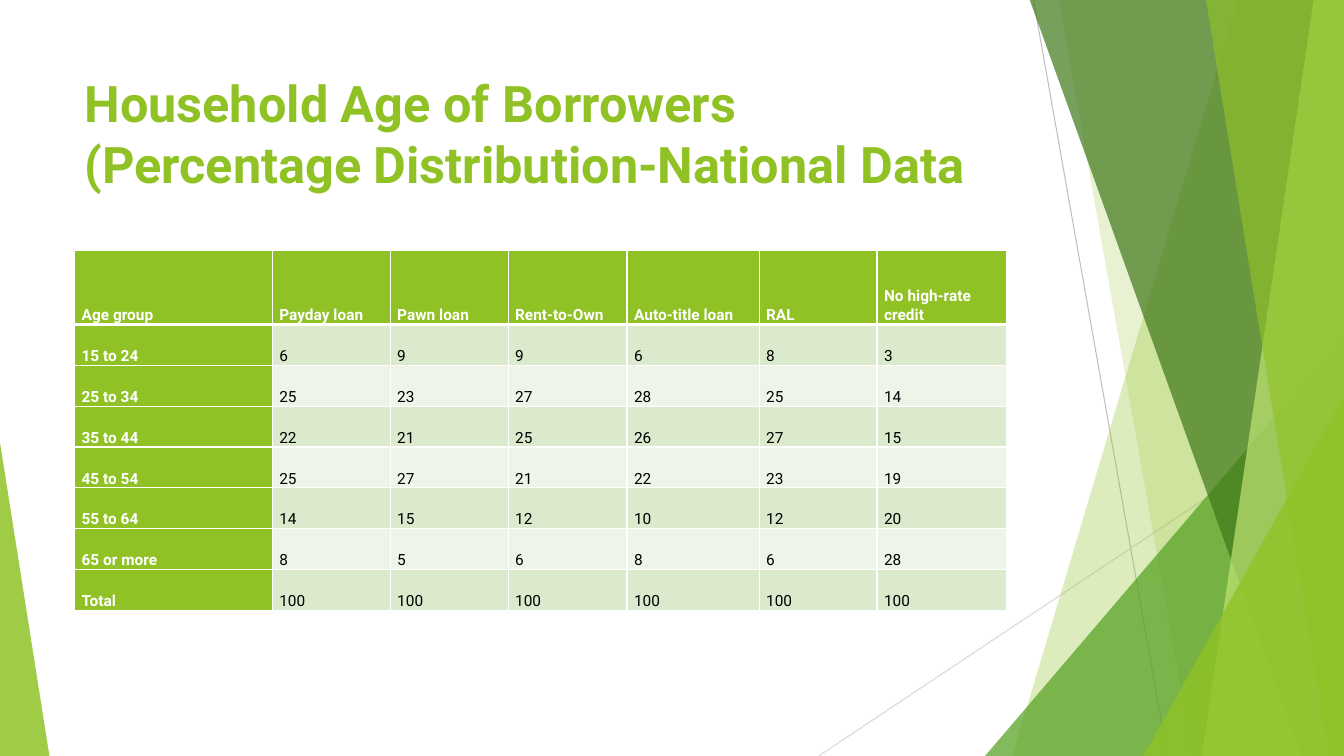
from lxml import etree
from pptx import Presentation, util as u
from pptx.dml.color import RGBColor
from pptx.enum import shapes, text
from pptx.oxml import ns

GREEN, WHITE, BLACK = "90C226", "FFFFFF", "000000"
BANDS = ["DBE9CD", "EEF4E8"]
FONT = "Roboto"

COLUMN_WIDTHS = [1.96, 1.17, 1.17, 1.18, 1.31, 1.17, 1.28]
HEADER_HEIGHT, ROW_HEIGHT = 0.74, 0.405
LOANS_BY_AGE = [
    ["Age group", "Payday loan", "Pawn loan", "Rent-to-Own", "Auto-title loan",
     "RAL", "No high-rate credit"],
    ["15 to 24", 6, 9, 9, 6, 8, 3],
    ["25 to 34", 25, 23, 27, 28, 25, 14],
    ["35 to 44", 22, 21, 25, 26, 27, 15],
    ["45 to 54", 25, 27, 21, 22, 23, 19],
    ["55 to 64", 14, 15, 12, 10, 12, 20],
    ["65 or more", 8, 5, 6, 8, 6, 28],
    ["Total", 100, 100, 100, 100, 100, 100],
]


def rgb(color):
    return RGBColor.from_string(color)


def paint(sp, color, opacity):
    """Fill a shape with a see-through colour and no outline."""
    sp.shadow.inherit = False
    sp.line.fill.background()
    sp.fill.solid()
    sp.fill.fore_color.rgb = rgb(color)
    clr = sp.fill._xPr.find(".//" + ns.qn("a:srgbClr"))
    etree.SubElement(clr, ns.qn("a:alpha"), val=str(opacity * 1000))


def add_line(s, x1, y1, x2, y2, color):
    line = s.shapes.add_connector(
        shapes.MSO_CONNECTOR.STRAIGHT, *map(u.Inches, (x1, y1, x2, y2)))
    line.line.color.rgb = rgb(color)
    line.line.width = u.Pt(0.75)
    etree.SubElement(line._element.spPr, ns.qn("a:effectLst"))


def add_shard(s, top_left, top_right, bottom_right, bottom_left, color, opacity):
    """Four-sided panel over the full slide height."""
    top, bottom = u.Inches(-0.01), u.Inches(7.5)
    builder = s.shapes.build_freeform(u.Inches(top_left), top)
    builder.add_line_segments([
        (u.Inches(top_right), top),
        (u.Inches(bottom_right), bottom),
        (u.Inches(bottom_left), bottom),
    ])
    paint(builder.convert_to_shape(), color, opacity)


def add_triangle(s, x, y, w, h, apex, color, opacity):
    sp = s.shapes.add_shape(
        shapes.MSO_SHAPE.ISOSCELES_TRIANGLE, *map(u.Inches, (x, y, w, h)))
    sp.adjustments[0] = apex
    paint(sp, color, opacity)


def set_font(p, size, color, bold):
    p.font.name = FONT
    p.font.size = u.Pt(size)
    p.font.bold = bold
    p.font.color.rgb = rgb(color)


def add_title(s, title):
    box = s.shapes.add_textbox(*map(u.Inches, (0.74, 0.67, 9.4, 1.44)))
    tf = box.text_frame
    tf.word_wrap = True
    tf.vertical_anchor = text.MSO_ANCHOR.TOP
    p = tf.paragraphs[0]
    p.text = title
    set_font(p, 36, GREEN, True)


def set_borders(cell, top, bottom):
    tcPr = cell._tc.get_or_add_tcPr()
    sides = [("L", 1), ("R", 1), ("T", top), ("B", bottom)]
    for i, (side, width) in enumerate(sides):
        ln = etree.Element(ns.qn("a:ln" + side), w=str(u.Pt(width)))
        fill = etree.SubElement(ln, ns.qn("a:solidFill"))
        etree.SubElement(fill, ns.qn("a:srgbClr"), val=WHITE)
        tcPr.insert(i, ln)


def fill_cell(cell, value, fill, color, bold):
    cell.fill.solid()
    cell.fill.fore_color.rgb = rgb(fill)
    cell.vertical_anchor = text.MSO_ANCHOR.BOTTOM
    cell.margin_left = cell.margin_right = u.Inches(0.07)
    cell.margin_top = cell.margin_bottom = 0
    p = cell.text_frame.paragraphs[0]
    p.text = str(value)
    p.line_spacing = 1.07
    set_font(p, 11, color, bold)


def add_loan_table(s, rows):
    height = HEADER_HEIGHT + ROW_HEIGHT * (len(rows) - 1)
    table = s.shapes.add_table(
        len(rows), len(COLUMN_WIDTHS), u.Inches(0.74), u.Inches(2.48),
        u.Inches(sum(COLUMN_WIDTHS)), u.Inches(height)).table
    for column, width in zip(table.columns, COLUMN_WIDTHS):
        column.width = u.Inches(width)
    for i, values in enumerate(rows):
        table.rows[i].height = u.Inches(ROW_HEIGHT if i else HEADER_HEIGHT)
        for j, value in enumerate(values):
            cell = table.cell(i, j)
            if i == 0 or j == 0:
                fill_cell(cell, value, GREEN, WHITE, True)
            else:
                fill_cell(cell, value, BANDS[(i - 1) % 2], BLACK, False)
            # Thick rule between the header and the first row
            set_borders(cell, 3 if i == 1 else 1, 3 if i == 0 else 1)


def add_backdrop(s):
    add_line(s, 10.25, 0, 11.58, 7.5, "BFBFBF")
    add_line(s, 13.33, 4.03, 8.12, 7.5, "D9D9D9")
    add_shard(s, 12.28, 13.33, 13.33, 10.04, GREEN, 30)
    add_shard(s, 10.5, 13.33, 13.33, 11.83, GREEN, 20)
    add_triangle(s, 9.77, 3.33, 3.56, 4.17, 1, "54A021", 72)
    add_shard(s, 10.21, 13.33, 13.33, 12.91, "3F7819", 70)
    add_shard(s, 13.03, 13.33, 13.33, 11.92, "C0E474", 70)
    add_shard(s, 11.96, 13.33, 13.33, 13.18, GREEN, 65)
    add_triangle(s, 11.34, 3.93, 1.99, 3.57, 1, GREEN, 80)
    add_triangle(s, 0, 4.39, 0.49, 3.11, 0, GREEN, 85)


def main():
    prs = Presentation()
    prs.slide_width, prs.slide_height = u.Inches(13.33), u.Inches(7.5)
    s = prs.slides.add_slide(prs.slide_layouts[6])
    add_backdrop(s)
    add_title(s, "Household Age of Borrowers (Percentage Distribution-National Data")
    add_loan_table(s, LOANS_BY_AGE)
    prs.save("out.pptx")


if __name__ == "__main__":
    main()
